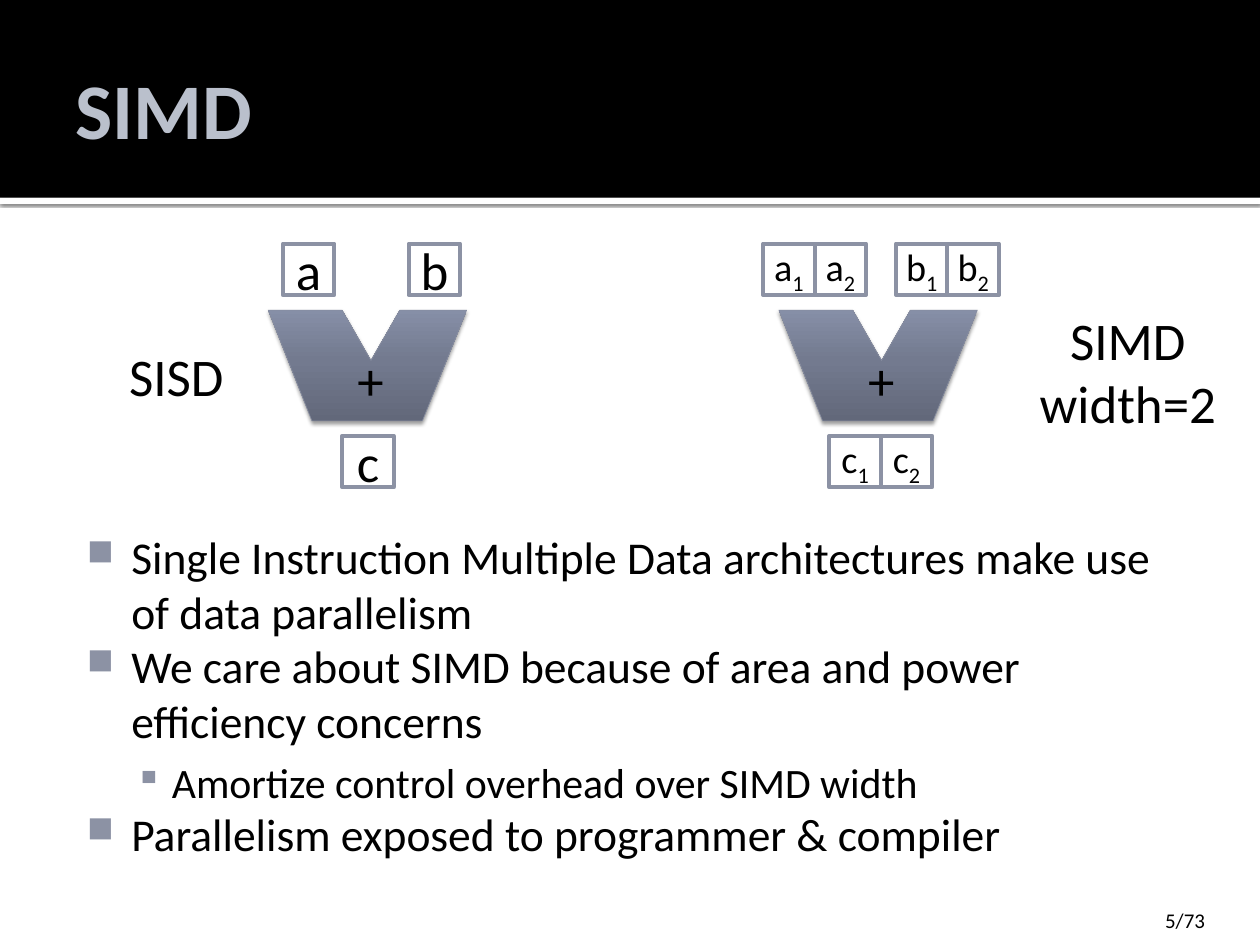
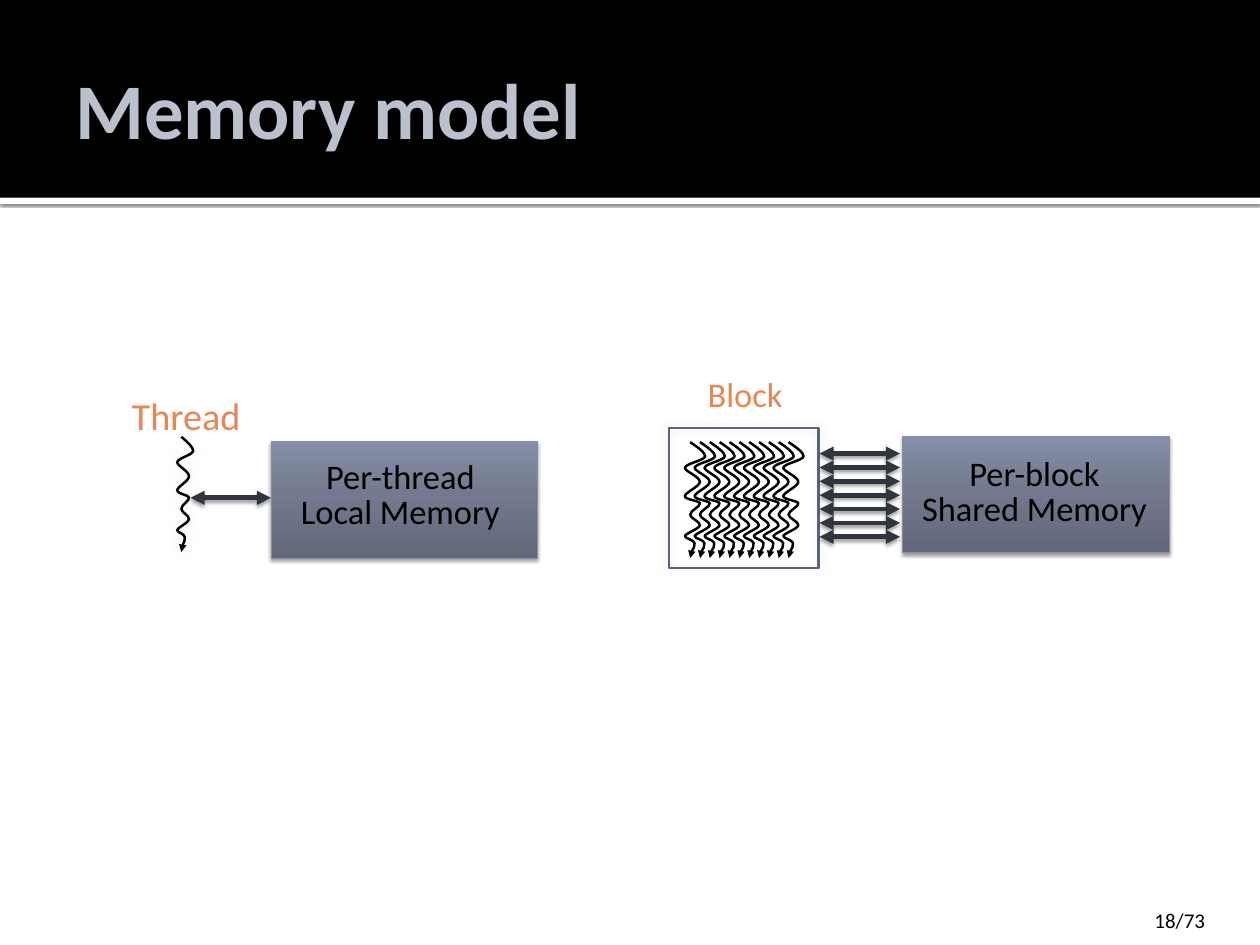
"""Build two lecture slides, on SIMD and on the memory model."""
import copy

import lxml.etree
import pptx
import pptx.dml.color
import pptx.enum.shapes
import pptx.enum.text
import pptx.oxml.ns
import pptx.util

Pt = pptx.util.Pt
qn = pptx.oxml.ns.qn
Align = pptx.enum.text.PP_ALIGN
Anchor = pptx.enum.text.MSO_ANCHOR
Fit = pptx.enum.text.MSO_AUTO_SIZE

FONT = "Calibri"
BLACK, WHITE = "000000", "FFFFFF"
TITLE, ACCENT = "BAC0CC", "E88651"
STEEL, EDGE, FRAME, WIRE = "8C92A4", "888EA1", "5A6378", "31353D"
GRADE = [(0, "62687A"), (0.55, "737A8F"), (1, "868FA7")]
DROP = (BLACK, 38, 3.1, 2)
GLOW = ("D4D4D6", 50, 8, 0)
STRIP = (BLACK, 60, 2.5, 0.8)
INSET = (7.2, 3.6, 7.2, 3.6)
NONE = (0, 0, 0, 0)
WIDTH, HEIGHT = 1024, 768
CELL = 41.8

FUNNEL = [(60, 0), (83.5, 41), (107, 0), (161.3, 0), (125.3, 90), (35.5, 90), (0, 0)]
WAVE_SIZE = (23, 131)
WAVE = [(6, 0), (15, 6), (23, 12), (23, 16), (22, 21), (1, 24), (0, 29),
        (0, 33), (17, 39), (17, 45), (17, 50), (0, 57), (0, 61),
        (0, 65), (16, 66), (17, 69), (18, 73), (6, 77), (6, 82),
        (6, 86), (18, 90), (17, 94), (16, 98), (1, 103), (0, 106),
        (0, 109), (10, 110), (11, 114), (12, 118), (4, 127), (6, 131)]

POINTS = [
    (0, "Single Instruction Multiple Data architectures make use of data parallelism"),
    (0, "We care about SIMD because of area and power efficiency concerns"),
    (1, "Amortize control overhead over SIMD width"),
    (0, "Parallelism exposed to programmer & compiler"),
]
LEVELS = [("■", 80, 49, 36, 37, 0), ("▪", 90, 82, 30, 34, 7)]


def tint(code):
    """Turn a hex string into a colour."""
    return pptx.dml.color.RGBColor.from_string(code)


def node(parent, tag, **attrs):
    """Add an XML child with attributes."""
    child = lxml.etree.SubElement(parent, qn(tag))
    for key, value in attrs.items():
        child.set(key, str(value))
    return child


def shade(shape, drop=None):
    """Replace the theme shadow by the given one or by none."""
    effects = node(shape.element.spPr, "a:effectLst")
    if drop:
        code, alpha, blur, dist = drop
        outer = node(effects, "a:outerShdw", blurRad=Pt(blur), dist=Pt(dist),
                     dir=5400000, algn="ctr", rotWithShape=0)
        node(node(outer, "a:srgbClr", val=code), "a:alpha", val=alpha * 1000)


def paint(shape, fill=None, line=None, drop=None):
    """Set the fill, the outline and the shadow of a shape."""
    if fill is GRADE:
        shape.fill.gradient()
        shape.fill.gradient_angle = 90
        stops = shape.element.spPr.find(qn("a:gradFill")).find(qn("a:gsLst"))
        stops.insert(1, copy.deepcopy(stops[0]))
        for stop, (place, code) in zip(shape.fill.gradient_stops, GRADE):
            stop.position = place
            stop.color.rgb = tint(code)
    elif fill:
        shape.fill.solid()
        shape.fill.fore_color.rgb = tint(fill)
    else:
        shape.fill.background()
    stroke(shape, line)
    shade(shape, drop)


def stroke(shape, line):
    """Set an outline from a colour and a width."""
    if line:
        shape.line.color.rgb = tint(line[0])
        shape.line.width = Pt(line[1])
    else:
        shape.line.fill.background()


def tip(shape, *ends):
    """Put triangles on the named ends of a line."""
    for end in ends:
        node(shape.element.spPr.find(qn("a:ln")), end, type="triangle")


def style(para, size, color=BLACK, bold=False):
    """Format every run of a paragraph."""
    for run in para.runs:
        run.font.name = FONT
        run.font.size = Pt(size)
        run.font.bold = bold
        run.font.color.rgb = tint(color)


def write(shape, text, size, color=BLACK, align=Align.CENTER, inset=INSET,
          anchor=Anchor.MIDDLE, wrap=True, bold=False, pitch=None):
    """Put formatted text in a shape, which fits the text if it does not wrap."""
    frame = shape.text_frame
    frame.text = text
    frame.word_wrap = wrap
    frame.auto_size = Fit.NONE if wrap else Fit.SHAPE_TO_FIT_TEXT
    frame.vertical_anchor = anchor
    (frame.margin_left, frame.margin_top,
     frame.margin_right, frame.margin_bottom) = map(Pt, inset)
    for para in frame.paragraphs:
        para.alignment = align
        if pitch:
            para.line_spacing = pitch
        style(para, size, color, bold)
    return frame


def block(shapes, x, y, w, h, **look):
    """Add a painted rectangle."""
    kind = pptx.enum.shapes.MSO_SHAPE.RECTANGLE
    shape = shapes.add_shape(kind, Pt(x), Pt(y), Pt(w), Pt(h))
    paint(shape, **look)
    return shape


def label(slide, x, y, w, h, text, size, **look):
    """Add a text box."""
    box = slide.shapes.add_textbox(Pt(x), Pt(y), Pt(w), Pt(h))
    return write(box, text, size, **look)


def trace(shapes, x, y, points, close):
    """Draw an outline whose points are relative to a corner."""
    spots = [(Pt(x + dx), Pt(y + dy)) for dx, dy in points]
    pen = shapes.build_freeform(*spots[0], scale=1.0)
    pen.add_line_segments(spots[1:], close=close)
    return pen.convert_to_shape()


def bend(shape):
    """Turn each three straight segments of an outline into one cubic curve."""
    route = next(shape.element.iter(qn("a:moveTo"))).getparent()
    legs = route.findall(qn("a:lnTo"))
    for first in range(0, len(legs), 3):
        curve = node(route, "a:cubicBezTo")
        for leg in legs[first:first + 3]:
            curve.append(leg[0])
            route.remove(leg)


def thread(shapes, x, y, w, h, drop=None):
    """Draw a wavy thread that fills the given box."""
    wide, tall = WAVE_SIZE
    knots = [(px * w / wide, py * h / tall) for px, py in WAVE]
    wave = trace(shapes, x, y, knots, False)
    bend(wave)
    paint(wave, line=(BLACK, 2), drop=drop)
    tip(wave, "a:tailEnd")


def wire(slide, x, y, length=65.5):
    """Draw a level arrow with two heads."""
    kind = pptx.enum.shapes.MSO_CONNECTOR.STRAIGHT
    line = slide.shapes.add_connector(kind, Pt(x), Pt(y), Pt(x + length), Pt(y))
    stroke(line, (WIRE, 3.82))
    tip(line, "a:headEnd", "a:tailEnd")
    shade(line, DROP)


def start(deck, title, page):
    """Add a slide with the bands, the title and the page number."""
    slide = deck.slides.add_slide(deck.slide_layouts[6])
    block(slide.shapes, 0, 160.6, WIDTH, 5.1, fill=WHITE, drop=STRIP)
    block(slide.shapes, 0, 0, WIDTH, 160.6, fill=BLACK)
    label(slide, 51.2, 17.3, 921.6, 140.7, title, 64, color=TITLE, bold=True,
          align=Align.LEFT, inset=(10, 5, 5, 5))
    label(slide, 912.4, 733, 77, 31, page, 17, align=Align.RIGHT,
          inset=(10, 5, 10, 5), anchor=Anchor.TOP)
    return slide


def cells(slide, x, y, name, lanes, size):
    """Draw a row of register cells centred on x."""
    left = x - CELL * len(lanes) / 2
    for spot, lane in enumerate(lanes):
        cell = block(slide.shapes, left + spot * CELL, y, CELL, CELL,
                     fill=WHITE, line=(STEEL, 3.25))
        para = write(cell, name, size).paragraphs[0]
        if lane:
            run = para.add_run()
            run.text = lane
            style(para, size)
            run.font._element.set("baseline", "-25000")


def adder(slide, x, y, mids, lanes, size):
    """Draw an adder with its inputs above and its result below."""
    funnel = trace(slide.shapes, x, y, FUNNEL, True)
    paint(funnel, fill=GRADE, line=(EDGE, 0.5), drop=DROP)
    for name, mid, drop in zip("abc", mids, (-54, -54, 102.2)):
        cells(slide, x + mid, y + drop, name, lanes, size)
    label(slide, x + 62.3, y + 35.2, CELL, CELL, "+", 43)


def bullets(slide, x, y, w, h):
    """Write the bulleted points."""
    frame = label(slide, x, y, w, h, "\n".join(text for _, text in POINTS), 37,
                  align=Align.LEFT, inset=(6.5, 10, 10, 5), anchor=Anchor.TOP)
    for para, (level, _) in zip(frame.paragraphs, POINTS):
        mark, scale, margin, hang, size, gap = LEVELS[level]
        para.level = level
        props = para._p.get_or_add_pPr()
        props.set("marL", str(Pt(margin)))
        props.set("indent", str(-Pt(hang)))
        node(node(props, "a:buClr"), "a:srgbClr", val=STEEL)
        node(props, "a:buSzPct", val=scale * 1000)
        node(props, "a:buChar", char=mark)
        if gap:
            para.space_before = Pt(gap)
        style(para, size)


def store(slide, x, y, dx, dy, wide, text):
    """Draw a memory box with its caption at an offset."""
    block(slide.shapes, x, y, 216.7, 95, fill=GRADE, line=(EDGE, 0.5), drop=DROP)
    label(slide, x + dx, y + dy, wide, 58.3, text, 28, inset=NONE,
          wrap=False, pitch=0.85)


def single(slide, x, y):
    """Draw one thread with its local memory."""
    thread(slide.shapes, x, y, 13, 93.6, GLOW)
    label(slide, x - 40.3, y - 36.8, 95, 38.9, "Thread", 31, color=ACCENT,
          inset=NONE, wrap=False)
    store(slide, x + 76.3, y + 3.6, 21.6, 16, 167, "Per-thread\vLocal Memory")
    wire(slide, x + 10.8, y + 49.6)


def team(slide, x, y):
    """Draw a block of threads with its shared memory."""
    group = slide.shapes.add_group_shape().shapes
    block(group, x, y, 121.7, 113.8, line=(FRAME, 2), drop=GLOW)
    for spot in range(11):
        thread(group, x + 13 + 8 * spot, y + 11.5, 16.5, 94.3)
    label(slide, x + 26.6, y - 45.4, 70.6, 34.6, "Block", 28, color=ACCENT,
          inset=NONE, wrap=False)
    store(slide, x + 190.1, y + 6.4, 13, 18, 188, "Per-block\vShared Memory")
    for spot in range(7):
        wire(slide, x + 122.4, y + 20.8 + 11.28 * spot)


def main():
    """Build and save the deck."""
    deck = pptx.Presentation()
    deck.slide_width, deck.slide_height = Pt(WIDTH), Pt(HEIGHT)

    simd = start(deck, "SIMD", "5/73")
    adder(simd, 218, 252, (32.8, 135, 81), [""], 43)
    adder(simd, 633, 252, (29, 137, 82.8), ["1", "2"], 31)
    label(simd, 92.2, 275.8, 102.2, 59, "SISD", 43, anchor=Anchor.TOP, wrap=False)
    label(simd, 835.9, 246.4, 161.3, 111.6, "SIMD\nwidth=2", 43,
          anchor=Anchor.TOP, wrap=False)
    bullets(simd, 51.2, 420, 921.6, 296.6)

    memory = start(deck, "Memory model", "18/73")
    single(memory, 144, 355)
    team(memory, 543.6, 347.8)
    deck.save("out.pptx")


if __name__ == "__main__":
    main()
